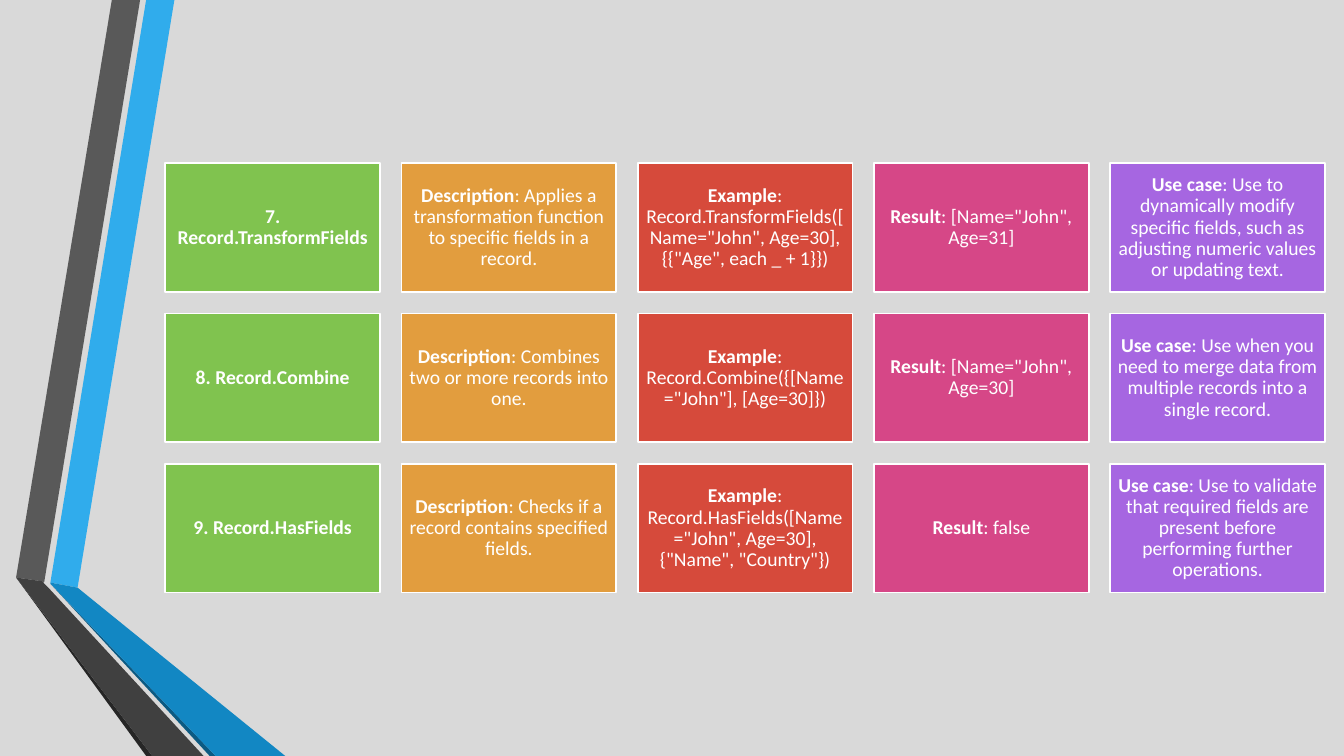
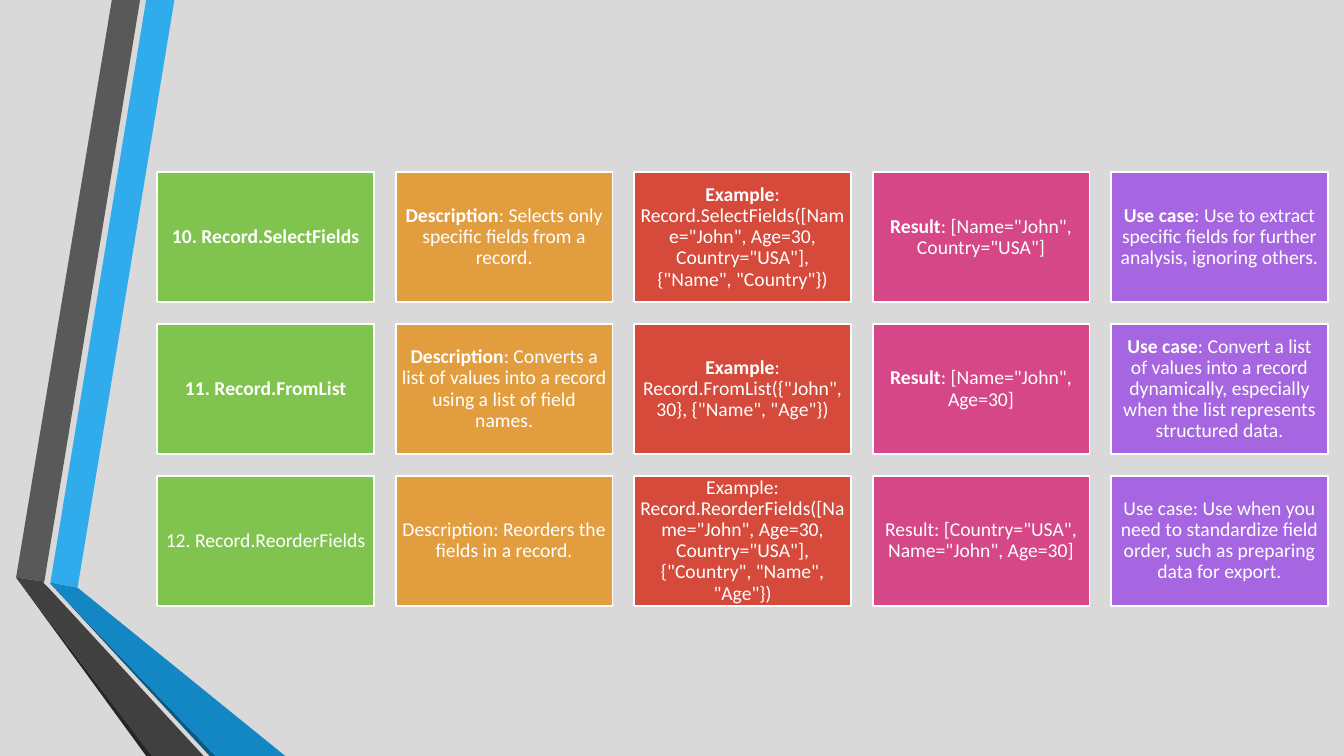
from pptx import Presentation
from pptx.dml.color import RGBColor
from pptx.enum.shapes import MSO_SHAPE
from pptx.enum.text import MSO_ANCHOR, PP_ALIGN
from pptx.util import Inches, Pt

BANDS = [
    ("30ACEC", [(0.5, 5.78), (0.77, 5.83), (1.73, 0), (1.45, 0)]),
    ("595959", [(1.39, 0), (1.11, 0), (0.16, 5.73), (0.44, 5.77)]),
    ("262626", [(0.16, 5.73), (1.45, 7.5), (1.51, 7.5)]),
    ("0C5A82", [(0.5, 5.79), (2.08, 7.5), (2.14, 7.5)]),
    ("1287C3", [(0.5, 5.79), (2.14, 7.5), (2.83, 7.5), (0.77, 5.83), (0.5, 5.78)]),
    ("404040", [(2.02, 7.5), (0.48, 5.83), (0.43, 5.78), (0.44, 5.77),
                (0.16, 5.73), (1.51, 7.5)]),
]
FILLS = ["80C34F", "E29D3E", "D64A3B", "D64787", "A666E1"]
LABELS = ["Description", "Example", "Result", "Use case"]

FIRST = [
    ("7. Record.TransformFields", True, [
        "Applies a transformation function to specific fields in a record.",
        'Record.TransformFields([Name="John", Age=30], {{"Age", each _ + 1}})',
        '[Name="John", Age=31]',
        "Use to dynamically modify specific fields, such as adjusting numeric values or updating text.",
    ]),
    ("8. Record.Combine", True, [
        "Combines two or more records into one.",
        'Record.Combine({[Name="John"], [Age=30]})',
        '[Name="John", Age=30]',
        "Use when you need to merge data from multiple records into a single record.",
    ]),
    ("9. Record.HasFields", True, [
        "Checks if a record contains specified fields.",
        'Record.HasFields([Name="John", Age=30], {"Name", "Country"})',
        "false",
        "Use to validate that required fields are present before performing further operations.",
    ]),
]
SECOND = [
    ("10. Record.SelectFields", True, [
        "Selects only specific fields from a record.",
        'Record.SelectFields([Name="John", Age=30, Country="USA"], {"Name", "Country"})',
        '[Name="John", Country="USA"]',
        "Use to extract specific fields for further analysis, ignoring others.",
    ]),
    ("11. Record.FromList", True, [
        "Converts a list of values into a record using a list of field names.",
        'Record.FromList({"John", 30}, {"Name", "Age"})',
        '[Name="John", Age=30]',
        "Convert a list of values into a record dynamically, especially when the list represents structured data.",
    ]),
    ("12. Record.ReorderFields", False, [
        "Reorders the fields in a record.",
        'Record.ReorderFields([Name="John", Age=30, Country="USA"], {"Country", "Name", "Age"})',
        '[Country="USA", Name="John", Age=30]',
        "Use when you need to standardize field order, such as preparing data for export.",
    ]),
]


def color(code):
    return RGBColor.from_string(code)


class Deck:
    font = "Calibri"
    size = Pt(14)
    white = "FFFFFF"
    ground = "D9D9D9"
    inset = Inches(0.06)

    def __init__(self):
        self.prs = Presentation()
        self.prs.slide_width = Inches(13.33)
        self.prs.slide_height = Inches(7.5)
        self.paint(self.prs.slide_master.background, self.ground)
        self.slide = None

    def paint(self, item, code):
        item.fill.solid()
        item.fill.fore_color.rgb = color(code)

    def page(self):
        self.slide = self.prs.slides.add_slide(self.prs.slide_layouts[6])
        for code, points in BANDS:
            self.band(code, points)

    def band(self, code, points):
        start, *rest = [(Inches(x), Inches(y)) for x, y in points]
        pen = self.slide.shapes.build_freeform(*start, scale=1.0)
        pen.add_line_segments(rest, close=True)
        shape = pen.convert_to_shape()
        shape.shadow.inherit = False
        self.paint(shape, code)
        shape.line.fill.background()

    def card(self, left, top, wide, tall, code, runs):
        shape = self.slide.shapes.add_shape(
            MSO_SHAPE.RECTANGLE, Inches(left), Inches(top), Inches(wide), Inches(tall))
        shape.shadow.inherit = False
        self.paint(shape, code)
        shape.line.color.rgb = color(self.white)
        shape.line.width = Pt(1.25)
        frame = shape.text_frame
        frame.word_wrap = True
        frame.vertical_anchor = MSO_ANCHOR.MIDDLE
        frame.margin_left = frame.margin_right = self.inset
        frame.margin_top = frame.margin_bottom = self.inset
        para = frame.paragraphs[0]
        para.alignment = PP_ALIGN.CENTER
        para.line_spacing = 0.9
        for text, bold in runs:
            run = para.add_run()
            run.text = text
            run.font.name = self.font
            run.font.size = self.size
            run.font.bold = bold
            run.font.color.rgb = color(self.white)

    def grid(self, left, top, wide, rows):
        tall = wide * 0.6
        gap = wide * 0.1
        for row, (name, bold, texts) in enumerate(rows):
            cells = [[(name, bold)]]
            for label, text in zip(LABELS, texts):
                cells.append([(label, bold), (f": {text}", False)])
            for col, (code, runs) in enumerate(zip(FILLS, cells)):
                self.card(left + col * (wide + gap), top + row * (tall + gap),
                          wide, tall, code, runs)


def main():
    deck = Deck()
    for left, top, wide, rows in [(1.64, 1.62, 2.13, FIRST), (1.56, 1.71, 2.15, SECOND)]:
        deck.page()
        deck.grid(left, top, wide, rows)
    deck.prs.save("out.pptx")


if __name__ == "__main__":
    main()
